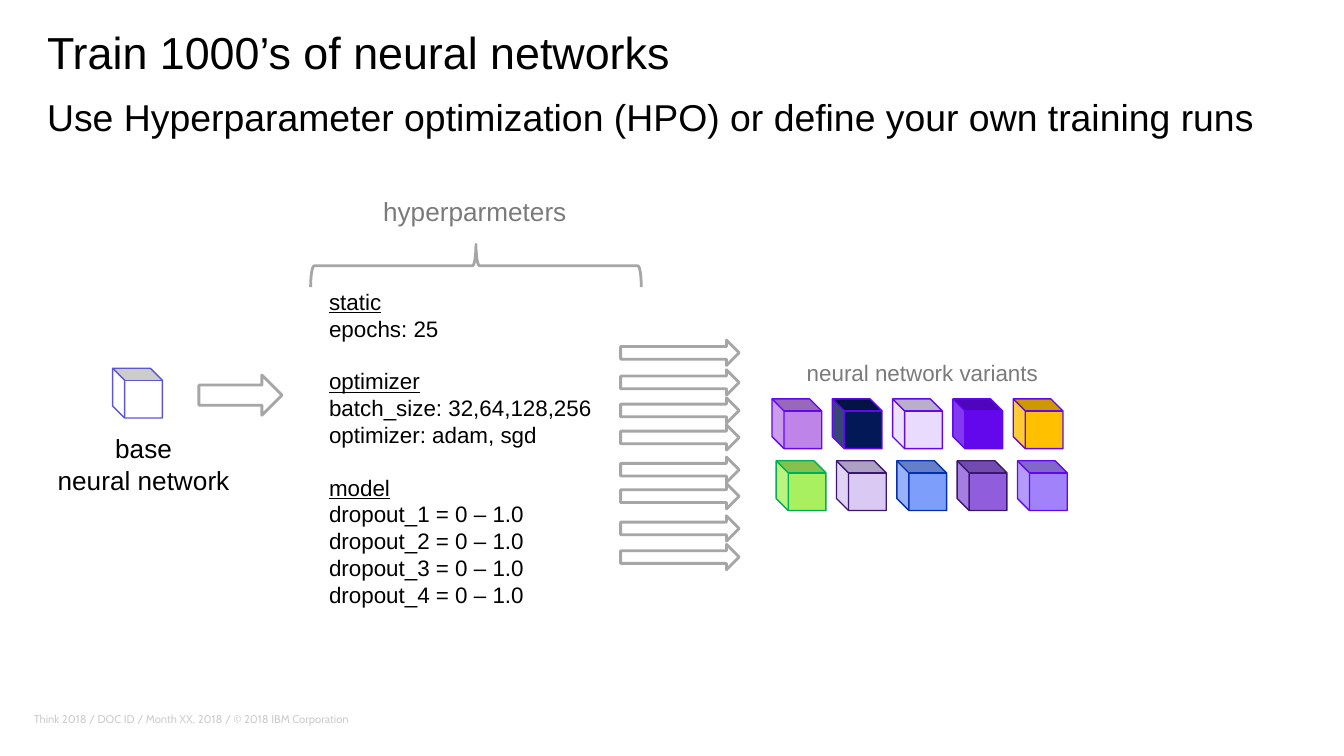
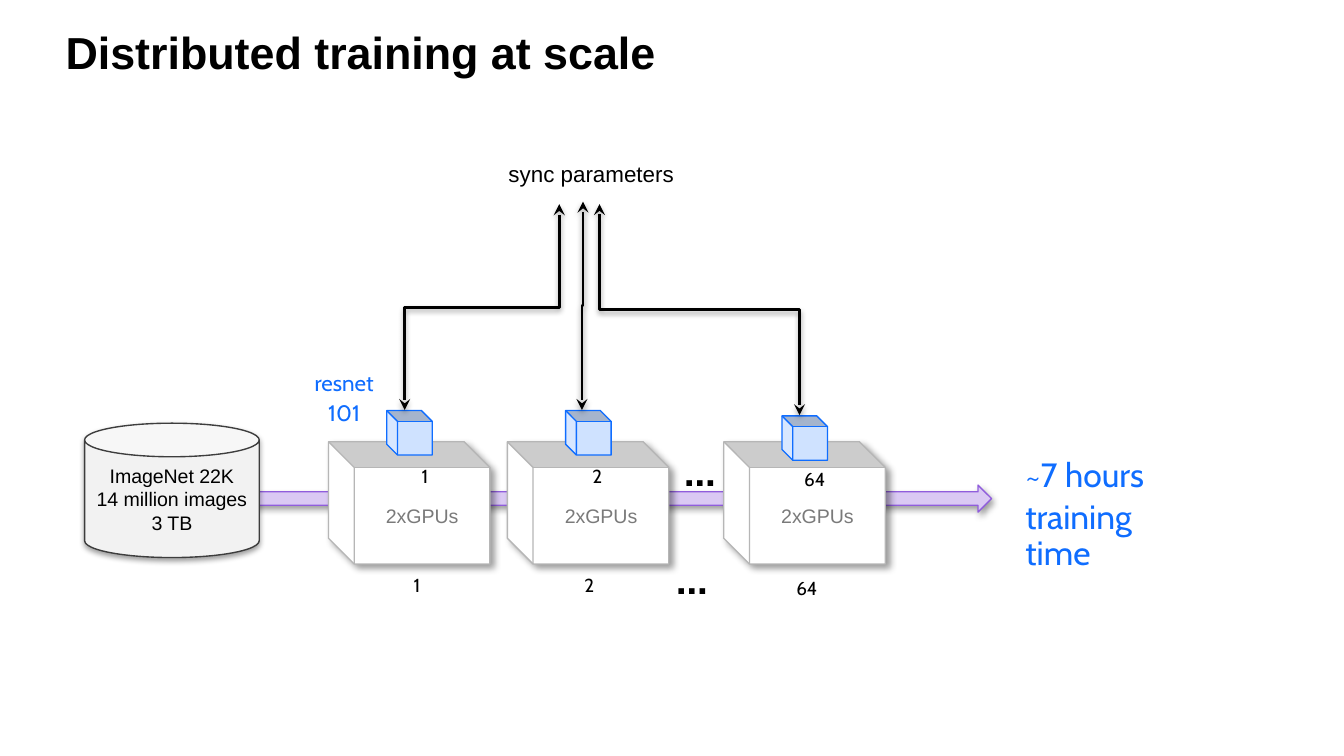
from dataclasses import dataclass

from lxml import etree
from pptx import Presentation
from pptx.dml.color import RGBColor
from pptx.enum.shapes import MSO_CONNECTOR, MSO_SHAPE
from pptx.enum.text import MSO_ANCHOR, PP_ALIGN
from pptx.oxml.ns import qn
from pptx.util import Cm, Pt

CUBE, CAN = MSO_SHAPE.CUBE, MSO_SHAPE.CAN
ARROW, BRACE = MSO_SHAPE.RIGHT_ARROW, MSO_SHAPE.LEFT_BRACE
ELBOW = MSO_CONNECTOR.ELBOW
TOP, MIDDLE = MSO_ANCHOR.TOP, MSO_ANCHOR.MIDDLE
LEFT, CENTER = PP_ALIGN.LEFT, PP_ALIGN.CENTER


@dataclass(frozen=True)
class Theme:
    sans: str = "Arial"
    brand: str = "Cabin"
    black: str = "000000"
    white: str = "FFFFFF"
    gray: str = "7A7A7A"
    edge: str = "A6A6A6"
    faint: str = "CCCCCC"
    rim: str = "B6B6B6"
    dark: str = "3D3D3D"
    pale: str = "F2F2F2"
    blue: str = "0F6DFF"
    sky: str = "CFE2FF"
    base: str = "5D56D2"
    lilac: str = "DAC9F3"
    plum: str = "905DDC"
    grape: str = "3B1870"
    violet: str = "6307ED"
    title: float = 24
    lead: float = 20
    large: float = 18
    label: float = 14
    body: float = 12
    small: float = 10.5
    count: float = 10.1
    foot: float = 6
    wide: tuple = (0.25, 0.13)
    tight: tuple = (0.18, 0.1)
    none: tuple = (0, 0)
    soft: tuple = (38, 3.1, 1.6, 90)
    deep: tuple = (40, 4, 3, 45)


T = Theme()


class Deck:
    def __init__(self):
        self.prs = Presentation()
        self.prs.slide_width, self.prs.slide_height = Cm(25.4), Cm(14.29)
        self.slide = None

    def page(self):
        self.slide = self.prs.slides.add_slide(self.prs.slide_layouts[6])

    def fill_in(self, frame, lines, size, color=T.black, font=T.sans, align=LEFT,
                anchor=TOP, pad=T.wide, wrap=False, bold=False, lead=None, gap=0, heads=()):
        frame.word_wrap = wrap
        frame.vertical_anchor = anchor
        frame.margin_left = frame.margin_right = Cm(pad[0])
        frame.margin_top = frame.margin_bottom = Cm(pad[1])
        for i, line in enumerate(lines):
            para = frame.add_paragraph() if i else frame.paragraphs[0]
            para.text = line
            para.alignment = align
            if lead:
                para.line_spacing = lead
            if i:
                para.space_before = Pt(size * 1.15 if line in heads else gap)
            face = para.font
            face.name, face.size, face.bold = font, Pt(size), bold
            face.underline = line in heads
            face.color.rgb = RGBColor.from_string(color)

    def text(self, box, lines, size, **style):
        shape = self.slide.shapes.add_textbox(*map(Cm, box))
        self.fill_in(shape.text_frame, lines, size, **style)

    def tag(self, box, lines, size, **style):
        self.text(box, lines, size, **{"align": CENTER, "lead": 0.9, "pad": T.tight, **style})

    def glow(self, effects, shadow):
        alpha, blur, dist, angle = shadow
        outer = etree.SubElement(effects, qn("a:outerShdw"), blurRad=str(Pt(blur)),
                                 dist=str(Pt(dist)), dir=str(angle * 60000),
                                 algn="ctr", rotWithShape="0")
        color = etree.SubElement(outer, qn("a:srgbClr"), val=T.black)
        etree.SubElement(color, qn("a:alpha"), val=str(alpha * 1000))

    def shape(self, kind, box, fill, line, width=0.75, turn=0, adj=None, shadow=None):
        shape = self.slide.shapes.add_shape(kind, *map(Cm, box))
        shape.rotation = turn
        if adj:
            shape.adjustments[0] = adj
        if fill:
            shape.fill.solid()
            shape.fill.fore_color.rgb = RGBColor.from_string(fill)
        else:
            shape.fill.background()
        shape.line.color.rgb = RGBColor.from_string(line)
        shape.line.width = Pt(width)
        shape.shadow.inherit = False
        if shadow:
            self.glow(shape.element.spPr.find(qn("a:effectLst")), shadow)
        return shape

    def cube(self, box, fill, line, adj=0.242, shadow=None):
        self.shape(CUBE, box, fill, line, turn=270, adj=adj, shadow=shadow)

    def arrow(self, box):
        self.shape(ARROW, box, T.white, T.edge, width=1.5)

    def link(self, x1, y1, x2, y2):
        mid_x, mid_y = (x1 + x2) / 2, (y1 + y2) / 2
        half_w, half_h = (y1 - y2) / 2, (x2 - x1) / 2
        ends = (mid_x - half_w, mid_y - half_h, mid_x + half_w, mid_y + half_h)
        wire = self.slide.shapes.add_connector(ELBOW, *map(Cm, ends))
        wire.line.color.rgb = RGBColor.from_string(T.black)
        wire.line.width = Pt(1.5)
        props = wire.element.spPr
        props.find(qn("a:xfrm")).set("rot", str(270 * 60000))
        for end in ("a:headEnd", "a:tailEnd"):
            etree.SubElement(props.find(qn("a:ln")), qn(end), type="stealth")
        self.glow(etree.SubElement(props, qn("a:effectLst")), T.soft)


def tuning(deck):
    deck.page()
    deck.text((0.64, 13.41, 17.78, 0.38),
              ["Think 2018 / DOC ID / Month XX, 2018 / © 2018 IBM Corporation"],
              T.foot, color=T.faint, font=T.brand, anchor=MIDDLE, pad=T.none, wrap=True)
    deck.text((0.64, 0.41, 18.06, 1.27), ["Train 1000’s of neural networks"],
              T.title, anchor=MIDDLE, wrap=True, lead=0.9)
    deck.text((0.64, 1.63, 23.57, 1.27),
              ["Use Hyperparameter optimization (HPO) or define your own training runs"],
              T.lead, anchor=MIDDLE, wrap=True, lead=0.9)

    deck.cube((2.13, 6.96, 0.94, 0.94), T.white, T.base)
    deck.text((0.66, 8.05, 4.11, 1.52), ["base", "neural network"], T.label, align=CENTER)
    deck.arrow((3.76, 7.09, 1.57, 0.76))

    deck.tag((6.45, 3.63, 5.05, 0.84), ["hyperparmeters"], T.label, color=T.gray, pad=T.wide)
    deck.shape(BRACE, (8.59, 1.9, 0.81, 6.25), None, T.edge, width=1.5, turn=90)
    deck.text((5.97, 5.31, 6.81, 6.4),
              ["static", "epochs: 25",
               "optimizer", "batch_size: 32,64,128,256", "optimizer: adam, sgd",
               "model", *(f"dropout_{n} = 0 – 1.0" for n in range(1, 5))],
              T.body, wrap=True, heads=("static", "optimizer", "model"))
    for y in (6.43, 6.99, 7.52, 8.03, 8.64, 9.14, 9.75, 10.29):
        deck.arrow((11.73, y, 2.24, 0.48))

    deck.tag((13.64, 6.71, 7.59, 0.84), ["neural network variants"], T.body,
             color=T.gray, pad=T.wide)
    rows = (
        (14.59, 7.54, (("BE84E8", T.violet), ("031856", T.violet), ("E9DBFE", T.violet),
                       (T.violet, T.violet), ("FFC000", T.violet))),
        (14.67, 8.71, (("A9F061", "00B050"), (T.lilac, T.grape), ("7E9EFB", "0530AD"),
                       (T.plum, T.grape), ("A282FA", T.violet))),
    )
    for x, y, nets in rows:
        for i, (fill, line) in enumerate(nets):
            deck.cube((x + i * 1.14, y, 0.94, 0.94), fill, line)


def scaling(deck):
    deck.page()
    deck.text((1.24, 0.46, 20.12, 1.09), ["Distributed training at scale"],
              T.title, pad=T.none, wrap=True, bold=True)
    deck.shape(ARROW, (4.62, 9.17, 14.12, 0.51), T.lilac, T.plum, shadow=T.soft)

    count = {"font": T.brand}
    nodes = (("1", 6.58, 6.93, 0), ("2", 9.96, 10.19, 0), ("64", 14.05, 14.3, 0.1))
    for name, x, label, drop in nodes:
        deck.cube((x, 7.98, 2.31, 3.05), T.white, T.rim, adj=0.21, shadow=T.deep)
        deck.cube((x + 0.74, 7.75 + drop, 0.84, 0.86), T.sky, T.blue)
        deck.tag((x + 0.36, 9.47, 2.08, 0.64), ["2xGPUs"], T.small, color=T.gray)
        deck.tag((label, 10.8 + drop / 2, 1.9, 0.81), [name], T.count, **count)
        deck.tag((label + 0.15, 8.74 + drop / 2, 1.9, 0.81), [name], T.count, **count)
    for x, y in ((12.14, 10.41), (12.29, 8.36)):
        deck.tag((x, y, 1.9, 0.81), ["…"], T.title, bold=True, **count)

    store = deck.shape(CAN, (1.6, 8, 3.3, 2.54), T.pale, T.dark, shadow=T.soft)
    deck.fill_in(store.text_frame, ["ImageNet 22K", "14 million images", "3 TB"], T.small,
                 align=CENTER, anchor=MIDDLE, pad=T.tight, wrap=True)

    deck.link(7.65, 7.75, 10.57, 3.86)
    deck.link(15.11, 7.85, 11.33, 3.86)
    deck.link(11, 7.75, 11.02, 3.81)
    deck.tag((9.22, 2.9, 3.91, 0.81), ["sync parameters"], T.body, anchor=MIDDLE)
    deck.tag((5.44, 6.93, 2.13, 0.61), ["resnet", "101"], T.body,
             color=T.blue, font=T.brand, gap=3)
    deck.tag((19.2, 8.56, 3.3, 1.65), ["~7 hours", "training time"], T.large,
             color=T.blue, font=T.brand, align=LEFT, gap=3)


def main():
    deck = Deck()
    tuning(deck)
    scaling(deck)
    deck.prs.save("out.pptx")


if __name__ == "__main__":
    main()
